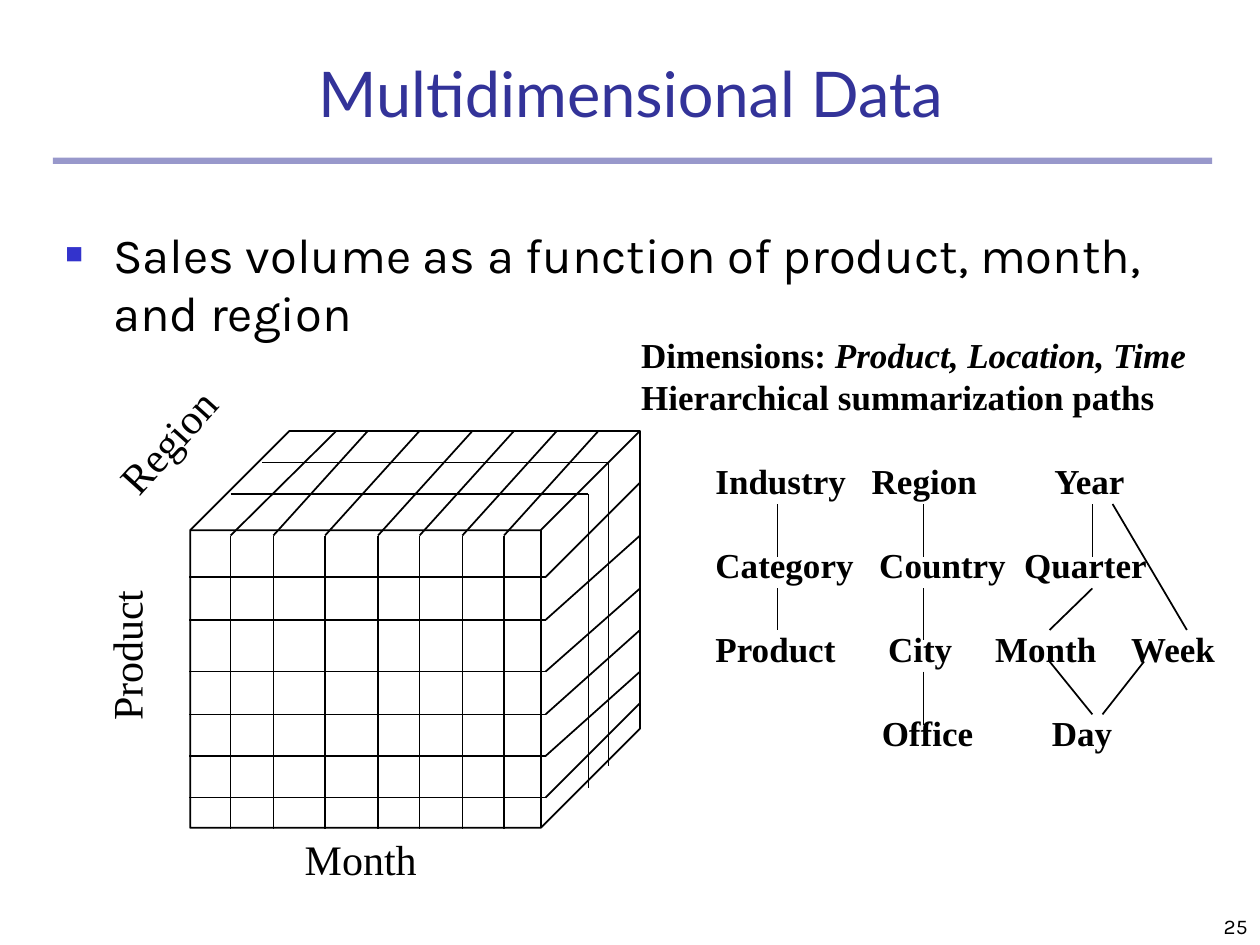
from typing import NamedTuple

from lxml.etree import SubElement
from pptx import Presentation
from pptx.dml.color import RGBColor
from pptx.enum.shapes import MSO_CONNECTOR, MSO_SHAPE
from pptx.enum.text import MSO_ANCHOR, PP_ALIGN
from pptx.oxml.ns import qn
from pptx.util import Inches, Pt

BLACK = RGBColor(0x00, 0x00, 0x00)
NAVY = RGBColor(0x33, 0x33, 0x99)
BLUE = RGBColor(0x33, 0x33, 0xCC)
SERIF = "Times New Roman"
LEFT, FRONT, RIGHT = 1.5, 4.33, 5.08
BACK, TOP, BASE = 3.42, 4.25, 6.58


class Box(NamedTuple):
    left: float
    top: float
    width: float
    height: float


class Line(NamedTuple):
    x1: float
    y1: float
    x2: float
    y2: float


class Label(NamedTuple):
    text: str
    box: Box
    turn: int = 0


class Level(NamedTuple):
    text: str
    stops: tuple[float, ...]


LABELS = [
    Label("Product", Box(0.38, 4.95, 1.24, 0.5), 270),
    Label("Region", Box(0.75, 3.25, 1.16, 0.5), 312),
    Label("Month", Box(2.32, 6.57, 1.09, 0.5)),
]
LEVELS = [
    Level("Industry\tRegion\tYear", (1.24, 2.69)),
    Level("Category\tCountry\tQuarter", (1.3, 2.45)),
    Level("Product\tCity\tMonth\tWeek", (1.37, 2.22, 3.3)),
    Level("\tOffice\tDay", (1.32, 2.67)),
]
ROWS = [(4.58, 3.83), (4.92, 4.25), (5.33, 4.67), (5.67, 5), (6, 5.33), (6.33, 5.58)]
COLS = [(1.83, 2.67), (2.17, 2.92), (2.58, 3.33), (3, 3.75),
        (3.33, 4.08), (3.67, 4.42), (4, 4.75)]
SLICES = [Line(2.08, 3.67, 4.83, 6.08), Line(1.83, 3.92, 4.67, 6.25)]
PATHS = [
    Line(6.17, 4, 6.17, 4.42), Line(7.33, 4, 7.33, 4.42), Line(8.67, 4, 8.67, 4.42),
    Line(6.17, 4.67, 6.17, 5), Line(7.33, 4.67, 7.33, 5.08), Line(7.33, 5.33, 7.33, 5.75),
    Line(8.67, 4.67, 8.33, 5), Line(8.83, 4, 9.42, 5),
    Line(8.33, 5.25, 8.67, 5.67), Line(9.08, 5.25, 8.75, 5.67),
]


def place(shape, box: Box) -> None:
    shape.left, shape.top, shape.width, shape.height = map(Inches, box)


def write(para, text: str, *, size: float, font: str = SERIF, color: RGBColor = BLACK,
          bold: bool = False, italic: bool = False, align=PP_ALIGN.LEFT) -> None:
    para.alignment = align
    para.line_spacing = Pt(round(size * 1.2, 1))
    run = para.add_run()
    run.text = text
    style = run.font
    style.size, style.name = Pt(size), font
    style.bold, style.italic = bold, italic
    style.color.rgb = color


def frame(shape, anchor=MSO_ANCHOR.TOP):
    area = shape.text_frame
    area.word_wrap = True
    area.vertical_anchor = anchor
    area.margin_left = area.margin_right = Inches(0.1)
    area.margin_top = area.margin_bottom = Inches(0.05)
    return area


def add_box(slide, box: Box, anchor=MSO_ANCHOR.TOP):
    return frame(slide.shapes.add_textbox(*map(Inches, box)), anchor)


def draw(slide, line: Line) -> None:
    link = slide.shapes.add_connector(MSO_CONNECTOR.STRAIGHT, *map(Inches, line))
    link.line.color.rgb = BLACK
    link.line.width = Pt(1)
    SubElement(link._element.spPr, qn("a:effectLst"))


def add_bar(slide) -> None:
    bar = slide.shapes.add_shape(MSO_SHAPE.RECTANGLE, *map(Inches, Box(0.42, 1.25, 9.2, 0.05)))
    bar.shadow.inherit = False
    bar.fill.solid()
    bar.fill.fore_color.rgb = NAVY
    bar.line.fill.background()
    tint = bar._element.spPr.find(qn("a:solidFill"))[0]
    SubElement(tint, qn("a:alpha"), val="50000")


def add_bullet(para) -> None:
    props = para._p.get_or_add_pPr()
    props.set("marL", str(Inches(0.38)))
    props.set("indent", str(-Inches(0.38)))
    tint = SubElement(props, qn("a:buClr"))
    SubElement(tint, qn("a:srgbClr"), val=str(BLUE))
    SubElement(props, qn("a:buSzPct"), val="60000")
    SubElement(props, qn("a:buFont"), typeface="Arial")
    SubElement(props, qn("a:buChar"), char="■")


def add_cube(slide) -> None:
    cube = slide.shapes.add_shape(MSO_SHAPE.CUBE, *map(Inches, Box(1.51, 3.42, 3.57, 3.15)))
    cube.adjustments[0] = 0.25
    cube.shadow.inherit = False
    cube.fill.background()
    cube.line.color.rgb = BLACK
    cube.line.width = Pt(1)
    for front, back in ROWS:
        draw(slide, Line(LEFT, front, FRONT, front))
        draw(slide, Line(FRONT, front, RIGHT, back))
    for front, back in COLS:
        draw(slide, Line(front, TOP, front, BASE))
        draw(slide, Line(front, TOP, back, BACK))
    for cut in SLICES:
        draw(slide, Line(cut.x1, cut.y1, cut.x2, cut.y1))
        draw(slide, Line(cut.x2, cut.y1, cut.x2, cut.y2))
    for label in LABELS:
        shape = slide.shapes.add_textbox(*map(Inches, label.box))
        shape.rotation = label.turn
        write(frame(shape).paragraphs[0], label.text, size=24)


def add_levels(slide) -> None:
    area = add_box(slide, Box(5.58, 3.6, 4.2, 2.44))
    for rank, level in enumerate(LEVELS):
        para = area.add_paragraph() if rank else area.paragraphs[0]
        write(para, level.text, size=20, bold=True)
        if rank:
            para.space_before = Pt(24)
        tabs = SubElement(para._p.get_or_add_pPr(), qn("a:tabLst"))
        for stop in level.stops:
            SubElement(tabs, qn("a:tab"), pos=str(Inches(stop)), algn="l")
    for line in PATHS:
        draw(slide, line)


def main() -> None:
    deck = Presentation()
    deck.slide_width, deck.slide_height = Inches(10), Inches(7.5)
    slide = deck.slides.add_slide(deck.slide_layouts[5])
    add_bar(slide)

    title = slide.shapes.title
    place(title, Box(0.42, 0.33, 9.17, 0.75))
    write(frame(title, MSO_ANCHOR.BOTTOM).paragraphs[0], "Multidimensional Data",
          size=36, font="Lato", color=NAVY, align=PP_ALIGN.CENTER)

    point = add_box(slide, Box(0.42, 1.73, 9.08, 5)).paragraphs[0]
    write(point, "Sales volume as a function of product, month, and region",
          size=28, font="Karla")
    add_bullet(point)

    add_cube(slide)

    area = add_box(slide, Box(4.99, 2.6, 4.6, 0.77))
    write(area.paragraphs[0], "Dimensions: ", size=20, bold=True)
    write(area.paragraphs[0], "Product, Location, Time", size=20, bold=True, italic=True)
    write(area.add_paragraph(), "Hierarchical summarization paths", size=20, bold=True)

    add_levels(slide)

    number = add_box(slide, Box(7.92, 7, 2.08, 0.5), MSO_ANCHOR.BOTTOM)
    write(number.paragraphs[0], "25", size=12, font="Karla", align=PP_ALIGN.RIGHT)
    deck.save("out.pptx")


if __name__ == "__main__":
    main()
